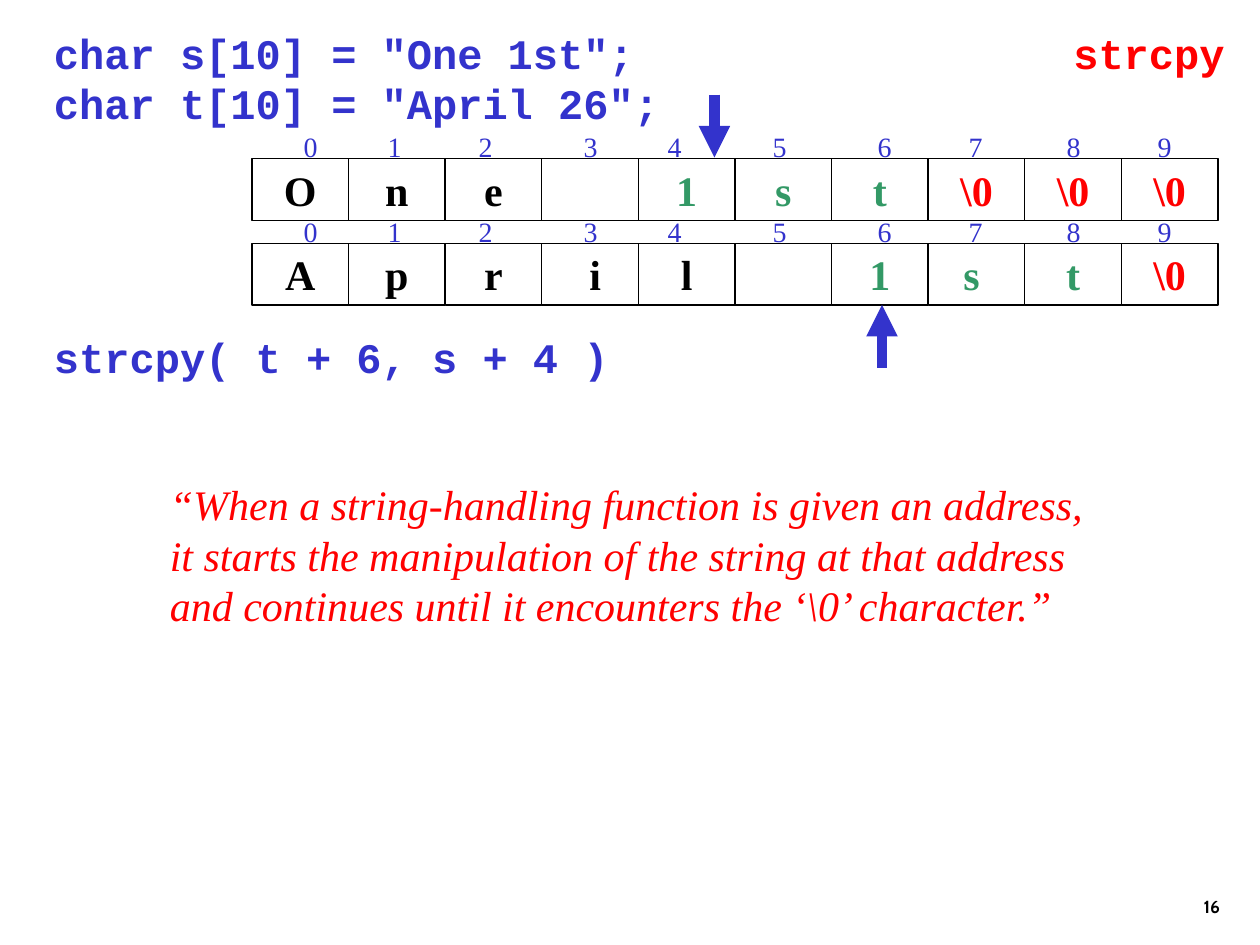
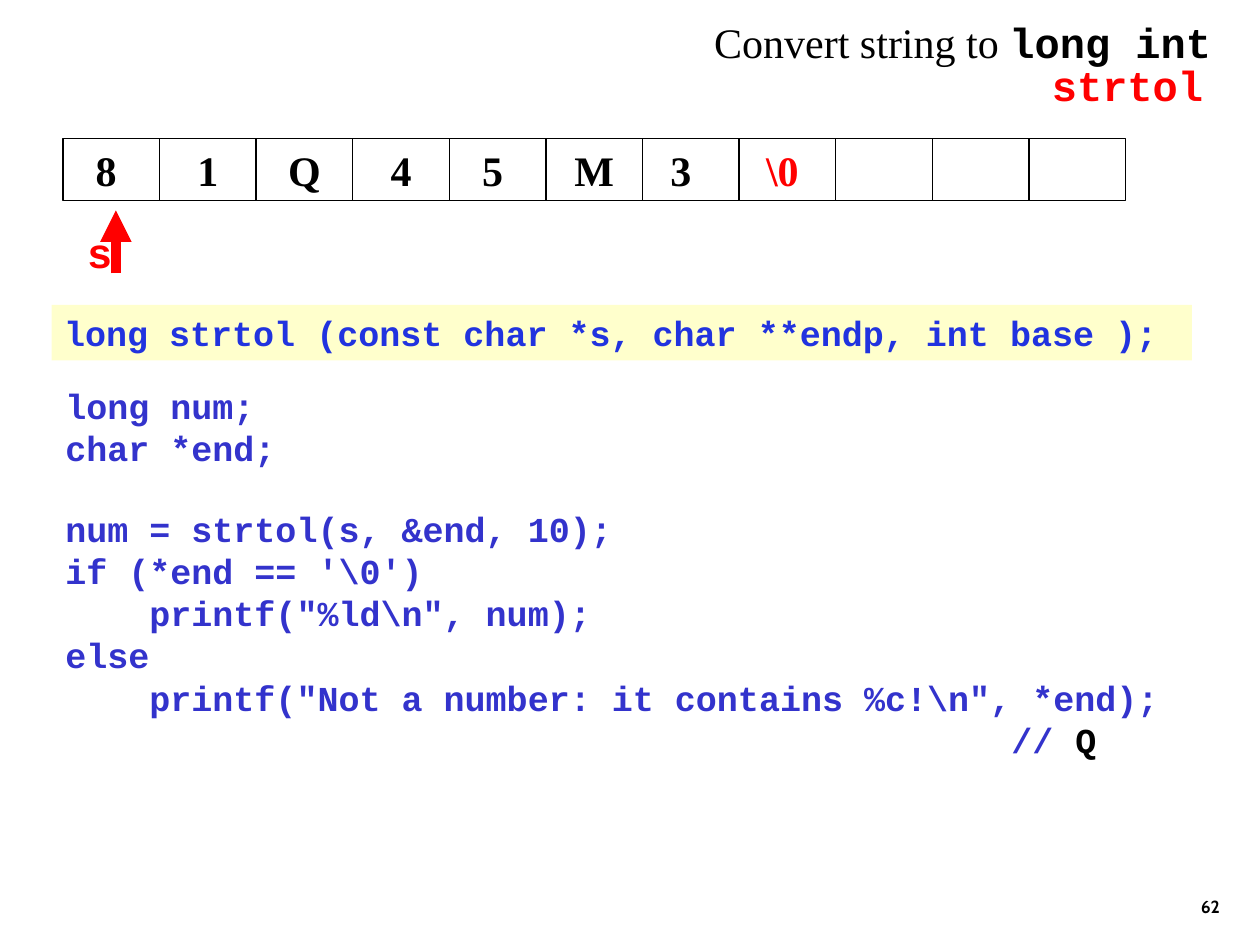
"""Build two slides on the C string functions strcpy and strtol."""

from dataclasses import dataclass
from itertools import accumulate
from typing import Any, Optional

import lxml.etree
import pptx
import pptx.dml.color
import pptx.enum.shapes
import pptx.enum.text
import pptx.oxml
import pptx.oxml.ns
import pptx.util

Inches = pptx.util.Inches
Pt = pptx.util.Pt
RGBColor = pptx.dml.color.RGBColor
Align = pptx.enum.text.PP_ALIGN
Anchor = pptx.enum.text.MSO_ANCHOR
qn = pptx.oxml.ns.qn

BLACK = RGBColor(0x00, 0x00, 0x00)
RED = RGBColor(0xFF, 0x00, 0x00)
BLUE = RGBColor(0x33, 0x33, 0xCC)
GREEN = RGBColor(0x33, 0x99, 0x66)
PROTOTYPE_BLUE = RGBColor(0x21, 0x33, 0xDF)
PALE_YELLOW = RGBColor(0xFF, 0xFF, 0xCC)

CODE_FONT = "Courier New"
PROSE_FONT = "Times New Roman"
NUMBER_FONT = "Cabin"

CELL_WIDTH = Inches(2.3) // 3
CELL_HEIGHT = Inches(0.49)
INDEX_RISE = Inches(0.34)
INDEX_INSET = Inches(0.41)
INDEX_GAPS = (48, 52, 60, 48, 60, 60, 52, 56, 52)
SIDE_INSET = Inches(0.1)
ARROW_LENGTH = Inches(0.5)
NUDGE = Inches(0.04)


@dataclass(frozen=True)
class Style:
    """Look of a run of text."""

    font: str = CODE_FONT
    size: int = 24
    color: RGBColor = BLUE
    bold: bool = True
    italic: bool = False


@dataclass(frozen=True)
class Span:
    """A run of text with its style."""

    text: str
    style: Style


@dataclass(frozen=True)
class Line:
    """A paragraph made of spans."""

    spans: tuple[Span, ...]
    space_before: float = 0


@dataclass(frozen=True)
class Block:
    """A box of text on the slide, with lengths in inches."""

    left: float
    top: float
    width: float
    height: float
    lines: tuple[Line, ...]
    align: Align = Align.LEFT
    anchor: Anchor = Anchor.TOP
    wrap: bool = True
    fill: Optional[RGBColor] = None


@dataclass(frozen=True)
class Cell:
    """One character of an array, shifted sideways by some nudges."""

    text: str = ""
    color: RGBColor = BLACK
    nudges: int = 0


@dataclass(frozen=True)
class CharArray:
    """A row of character cells, with or without index numbers."""

    left: float
    top: float
    cells: tuple[Cell, ...]
    indexed: bool = False


@dataclass(frozen=True)
class Pointer:
    """A vertical arrow that ends at a cell."""

    x: float
    tip: float
    color: RGBColor
    down: bool = False


CODE = Style()
SMALL_CODE = Style(size=20)
FUNCTION = Style(color=RED)
INDEX = Style(PROSE_FONT, 16, BLUE, bold=False)
TERMINATOR = Cell(r"\0", RED)


def one_line(text: str, style: Style) -> tuple[Line, ...]:
    """Return a single paragraph in one style."""
    return (Line((Span(text, style),)),)


def cells_of(text: str, color: RGBColor = BLACK) -> tuple[Cell, ...]:
    """Return one cell for each character, leaving blanks empty."""
    return tuple(Cell(letter.strip(), color) for letter in text)


def write_lines(frame: Any, lines: tuple[Line, ...], align: Align) -> None:
    """Write paragraphs run by run into a text frame."""
    for number, line in enumerate(lines):
        paragraph = frame.add_paragraph() if number else frame.paragraphs[0]
        paragraph.alignment = align
        if line.space_before:
            paragraph.space_before = Pt(line.space_before)
        for span in line.spans:
            run = paragraph.add_run()
            run.text = span.text
            run.font.name = span.style.font
            run.font.size = Pt(span.style.size)
            run.font.bold = span.style.bold
            run.font.italic = span.style.italic
            run.font.color.rgb = span.style.color


def draw_block(slide: Any, block: Block) -> None:
    """Draw a box of text."""
    box = slide.shapes.add_textbox(
        Inches(block.left), Inches(block.top), Inches(block.width), Inches(block.height)
    )
    if block.fill is not None:
        box.fill.solid()
        box.fill.fore_color.rgb = block.fill
    box.text_frame.word_wrap = block.wrap
    box.text_frame.vertical_anchor = block.anchor
    write_lines(box.text_frame, block.lines, block.align)


def draw_indexes(shapes: Any, left: int, top: int, count: int) -> None:
    """Draw the index numbers above an array on tab stops."""
    box = shapes.add_textbox(left, top - INDEX_RISE, CELL_WIDTH * count, CELL_HEIGHT)
    frame = box.text_frame
    frame.word_wrap = True
    frame.vertical_anchor = Anchor.MIDDLE
    frame.margin_left = INDEX_INSET
    properties = frame.paragraphs[0]._p.get_or_add_pPr()
    stops = lxml.etree.SubElement(properties, qn("a:tabLst"))
    for stop in accumulate(INDEX_GAPS):
        lxml.etree.SubElement(stops, qn("a:tab"), pos=str(Pt(stop)), algn="l")
    write_lines(frame, one_line("\t".join(map(str, range(count))), INDEX), Align.LEFT)


def draw_array(slide: Any, array: CharArray) -> None:
    """Draw a row of character cells as one group."""
    shapes = slide.shapes.add_group_shape().shapes
    left, top = Inches(array.left), Inches(array.top)
    if array.indexed:
        draw_indexes(shapes, left, top, len(array.cells))
    for column, cell in enumerate(array.cells):
        square = shapes.add_shape(
            pptx.enum.shapes.MSO_SHAPE.RECTANGLE,
            left + column * CELL_WIDTH, top, CELL_WIDTH, CELL_HEIGHT,
        )
        square.shadow.inherit = False
        square.fill.background()
        square.line.color.rgb = BLACK
        square.line.width = Pt(0.75)
        if cell.text:
            frame = square.text_frame
            frame.word_wrap = False
            frame.vertical_anchor = Anchor.MIDDLE
            frame.margin_left = SIDE_INSET + cell.nudges * NUDGE
            frame.margin_right = SIDE_INSET - cell.nudges * NUDGE
            style = Style(PROSE_FONT, color=cell.color)
            write_lines(frame, one_line(cell.text, style), Align.CENTER)


def draw_pointer(slide: Any, pointer: Pointer) -> None:
    """Draw a thick arrow up or down to a cell."""
    x, tip = Inches(pointer.x), Inches(pointer.tip)
    start = tip - ARROW_LENGTH if pointer.down else tip + ARROW_LENGTH
    arrow = slide.shapes.add_connector(
        pptx.enum.shapes.MSO_CONNECTOR.STRAIGHT, x, start, x, tip
    )
    arrow.line.color.rgb = pointer.color
    arrow.line.width = Pt(6)
    lxml.etree.SubElement(arrow.line._get_or_add_ln(), qn("a:tailEnd"), type="triangle")
    lxml.etree.SubElement(arrow._element.spPr, qn("a:effectLst"))


def add_slide(deck: Any, number: int) -> Any:
    """Add a blank slide with its page number."""
    slide = deck.slides.add_slide(deck.slide_layouts[6])
    page = one_line(str(number), Style(NUMBER_FONT, 10, BLACK))
    draw_block(slide, Block(7.7, 6.83, 2.08, 0.5, page, Align.RIGHT, Anchor.BOTTOM))
    return slide


def build_strcpy(deck: Any) -> None:
    """Build the slide on copying part of a string."""
    slide = add_slide(deck, 16)
    declarations = (
        one_line('char s[10] = "One 1st";', CODE) + one_line('char t[10] = "April 26";', CODE)
    )
    rule = (
        "“When a string-handling function is given an address, it starts the "
        "manipulation of the string at that address and continues until it "
        "encounters the ‘\\0’ character.”"
    )
    rule_style = Style(PROSE_FONT, color=RED, bold=False, italic=True)
    source = cells_of("One ") + cells_of("1st", GREEN) + (TERMINATOR,) * 3
    target = (
        cells_of("Apr") + (Cell("i", nudges=1),) + cells_of("l ")
        + (Cell("1", GREEN), Cell("s", GREEN, -1), Cell("t", GREEN), TERMINATOR)
    )
    for block in (
        Block(0.33, 2.58, 6.42, 0.5, one_line("strcpy( t + 6, s + 4 )", CODE)),
        Block(0.33, 0.17, 7.42, 0.9, declarations),
        Block(1.25, 3.75, 7.67, 1.3, one_line(rule, rule_style)),
        Block(8.42, 0.17, 1.42, 0.5, one_line("strcpy", FUNCTION)),
    ):
        draw_block(slide, block)
    draw_array(slide, CharArray(2, 1.26, source, indexed=True))
    draw_array(slide, CharArray(2, 1.93, target, indexed=True))
    draw_pointer(slide, Pointer(5.67, 1.25, BLUE, down=True))
    draw_pointer(slide, Pointer(7, 2.42, BLUE))


def build_strtol(deck: Any) -> None:
    """Build the slide on converting a string to a long int."""
    slide = add_slide(deck, 62)
    title = Line((
        Span("Convert string to ", Style(PROSE_FONT, color=BLACK, bold=False)),
        Span("long int", Style(color=BLACK)),
    ))
    prototype = one_line(
        "long strtol (const char *s, char **endp, int base );",
        Style(size=20, color=PROTOTYPE_BLUE),
    )
    variables = ("long num;", "char *end;")
    conversion = Line((Span("num = strtol(s, &end, 10);", SMALL_CODE),), space_before=22.7)
    check = (
        "if (*end == '\\0')",
        '    printf("%ld\\n", num);',
        "else",
        '    printf("Not a number: it contains %c!\\n", *end);',
    )
    result = Line((
        Span("                                             // ", SMALL_CODE),
        Span("Q", Style(size=20, color=BLACK)),
    ))
    program = (
        *(Line((Span(text, SMALL_CODE),)) for text in variables),
        conversion,
        *(Line((Span(text, SMALL_CODE),)) for text in check),
        result,
    )
    digits = (
        Cell("8", nudges=-1), Cell("1"), Cell("Q"), Cell("4"), Cell("5", nudges=-1),
        Cell("M"), Cell("3", nudges=-2), Cell(r"\0", RED, -1),
    )
    draw_array(slide, CharArray(0.5, 1.1, digits + (Cell(),) * 3))
    draw_pointer(slide, Pointer(0.92, 1.67, RED))
    for block in (
        Block(8.25, 0.42, 1.5, 0.5, one_line("strtol", FUNCTION)),
        Block(5.57, 0.08, 4.22, 0.5, (title,), wrap=False),
        Block(0.59, 1.75, 0.4, 0.5, one_line("s", FUNCTION), Align.RIGHT),
        Block(0.41, 2.42, 9.05, 0.44, prototype, fill=PALE_YELLOW),
        Block(0.42, 3, 9.17, 3.1, program),
    ):
        draw_block(slide, block)


def main() -> None:
    """Build and save the deck."""
    deck = pptx.Presentation()
    deck.slide_width, deck.slide_height = Inches(10), Inches(7.5)
    build_strcpy(deck)
    build_strtol(deck)
    deck.save("out.pptx")


if __name__ == "__main__":
    main()
